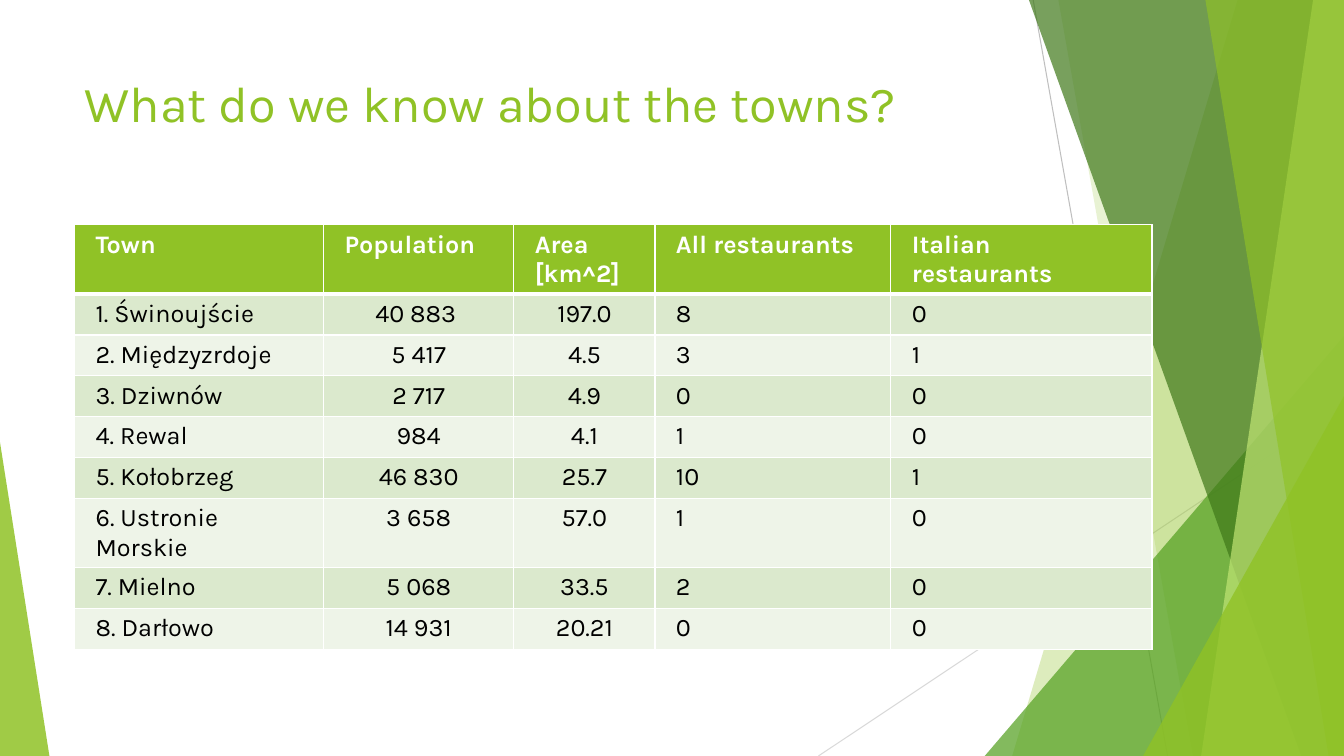
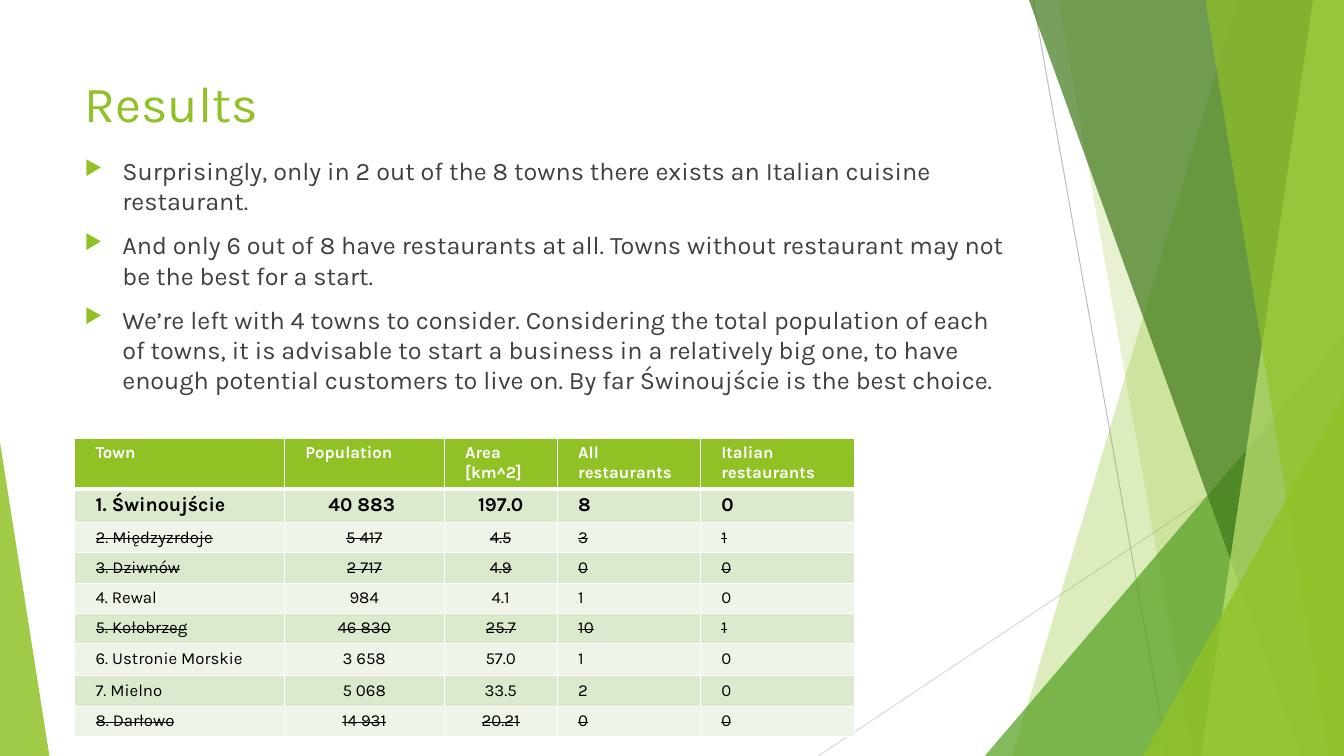
import pptx
import pptx.dml.color
import pptx.enum.shapes
import pptx.enum.text
import pptx.oxml
import pptx.oxml.ns
import pptx.util
from lxml import etree

Pt = pptx.util.Pt
RGBColor = pptx.dml.color.RGBColor
qn = pptx.oxml.ns.qn
ALIGN = pptx.enum.text.PP_ALIGN
ANCHOR = pptx.enum.text.MSO_ANCHOR
TRIANGLE = pptx.enum.shapes.MSO_SHAPE.ISOSCELES_TRIANGLE
STRAIGHT = pptx.enum.shapes.MSO_CONNECTOR.STRAIGHT

LIME = RGBColor(0x90, 0xC2, 0x26)
GREEN = RGBColor(0x54, 0xA0, 0x21)
FOREST = RGBColor(0x3F, 0x78, 0x19)
PALE_LIME = RGBColor(0xC0, 0xE4, 0x74)
ROW_DARK = RGBColor(0xDB, 0xE9, 0xCD)
ROW_LIGHT = RGBColor(0xEE, 0xF4, 0xE8)
GREY = RGBColor(0xBF, 0xBF, 0xBF)
LIGHT_GREY = RGBColor(0xD9, 0xD9, 0xD9)
TEXT_GREY = RGBColor(0x40, 0x40, 0x40)
BLACK = RGBColor(0x00, 0x00, 0x00)
WHITE = RGBColor(0xFF, 0xFF, 0xFF)

FONT = "Karla"
WIDTH, HEIGHT = 960, 540
SLIDE_BOX = (0, 0, WIDTH, HEIGHT)
TITLE_BOX = (53.3, 48, 677, 104)
BODY_BOX = (53.3, 107.3, 677, 305)

RAYS = [
    ((738, 0), (834, HEIGHT), GREY),
    ((WIDTH, 290), (584.6, HEIGHT), LIGHT_GREY),
]
FACETS = [
    ("band", 884, 723, LIME, 30),
    ("band", 756, 852, LIME, 20),
    ("triangle", (703.4, 240, 256.6, 300), 1, GREEN, 72),
    ("band", 735, 929.5, FOREST, 70),
    ("band", 938, 858, PALE_LIME, 70),
    ("band", 861, 949, LIME, 65),
    ("triangle", (816.5, 283, 143.5, 257), 1, LIME, 80),
    ("triangle", (0, 316, 35.3, 224), 0, LIME, 85),
]

HEADER = ["Town", "Population", "Area\n[km^2]", "All restaurants", "Italian restaurants"]
TOWNS = [
    ["1. Świnoujście", "40 883 ", "197.0", "8", "0"],
    ["2. Międzyzrdoje", "5 417", "4.5", "3", "1"],
    ["3. Dziwnów", "2 717", "4.9", "0", "0"],
    ["4. Rewal", "984", "4.1", "1", "0"],
    ["5. Kołobrzeg", "46 830", "25.7", "10", "1"],
    ["6. Ustronie Morskie", "3 658", "57.0", "1", "0"],
    ["7. Mielno", "5 068", "33.5", "2", "0"],
    ["8. Darłowo", "14 931", "20.21", "0", "0"],
]
CENTRED_COLUMNS = (1, 2)
FINDINGS = [
    "Surprisingly, only in 2 out of the 8 towns there exists an Italian cuisine restaurant.",
    "And only 6 out of 8 have restaurants at all. Towns without restaurant may not be "
    "the best for a start.",
    "We’re left with 4 towns to consider. Considering the total population of each of towns, "
    "it is advisable to start a business in a relatively big one, to have enough potential "
    "customers to live on. By far Świnoujście is the best choice.",
]


def apply_format(target, values):
    for name, value in values.items():
        setattr(target, name, value)


def format_font(font, size, colour, bold=False):
    apply_format(font, {"name": FONT, "size": Pt(size), "bold": bold})
    font.color.rgb = colour


def in_points(values):
    return [Pt(value) for value in values]


def paint_facet(shape, colour, opacity):
    shape.shadow.inherit = False
    shape.line.fill.background()
    shape.fill.solid()
    shape.fill.fore_color.rgb = colour
    tint = shape.element.spPr.find(qn("a:solidFill"))[0]
    etree.SubElement(tint, qn("a:alpha")).set("val", str(opacity * 1000))


def add_ray(shapes, box, start, end, colour):
    left, top = box[:2]
    ends = (left + start[0], top + start[1], left + end[0], top + end[1])
    ray = shapes.add_connector(STRAIGHT, *in_points(ends))
    ray.line.width = Pt(0.75)
    ray.line.color.rgb = colour
    etree.SubElement(ray.element.spPr, qn("a:effectLst"))


def add_band(shapes, box, top_x, bottom_x):
    left, top, width, height = box
    corners = [(width, 0), (width, height), (bottom_x, height)]
    outline = shapes.build_freeform(Pt(left + top_x), Pt(top))
    outline.add_line_segments([(Pt(left + x), Pt(top + y)) for x, y in corners], close=True)
    return outline.convert_to_shape()


def add_triangle(shapes, box, place, apex):
    left, top, width, height = place
    place = (box[0] + left, box[1] + top, width, height)
    triangle = shapes.add_shape(TRIANGLE, *in_points(place))
    triangle.adjustments[0] = apex
    return triangle


def add_backdrop(shapes, box):
    builders = {"band": add_band, "triangle": add_triangle}
    for start, end, colour in RAYS:
        add_ray(shapes, box, start, end, colour)
    for kind, first, second, colour, opacity in FACETS:
        paint_facet(builders[kind](shapes, box, first, second), colour, opacity)


def move_backdrop_to_layout(page, layout):
    for holder in list(layout.placeholders):
        if holder.placeholder_format.idx != 0:
            holder.element.getparent().remove(holder.element)
    add_backdrop(page.shapes, SLIDE_BOX)
    for shape in list(page.shapes):
        if not shape.is_placeholder:
            layout.shapes.element.append(shape.element)


def set_title(page, box, text):
    title = page.shapes.title
    apply_format(title, dict(zip(("left", "top", "width", "height"), in_points(box))))
    frame = title.text_frame
    apply_format(frame, {
        "text": text,
        "word_wrap": True,
        "vertical_anchor": ANCHOR.TOP,
        "auto_size": pptx.enum.text.MSO_AUTO_SIZE.NONE,
    })
    para = frame.paragraphs[0]
    para.alignment = ALIGN.LEFT
    format_font(para.runs[0].font, 36, LIME)


def add_bullet(para):
    properties = para._p.get_or_add_pPr()
    indent = Pt(27)
    properties.set("marL", str(indent))
    properties.set("indent", str(-indent))
    colour = etree.SubElement(properties, qn("a:buClr"))
    etree.SubElement(colour, qn("a:srgbClr")).set("val", str(LIME))
    etree.SubElement(properties, qn("a:buSzPct")).set("val", "80000")
    etree.SubElement(properties, qn("a:buChar")).set("char", "▶")


def add_bullet_list(page, box, texts):
    frame = page.shapes.add_textbox(*in_points(box)).text_frame
    frame.word_wrap = True
    frame.text = "\n".join(texts)
    for para in frame.paragraphs:
        para.space_before = Pt(10)
        add_bullet(para)
        format_font(para.runs[0].font, 18, TEXT_GREY)


def set_borders(cell, widths):
    properties = cell._tc.get_or_add_tcPr()
    for side, width in zip("LRTB", widths):
        line = etree.SubElement(properties, qn("a:ln" + side))
        line.set("w", str(Pt(width)))
        fill = etree.SubElement(line, qn("a:solidFill"))
        etree.SubElement(fill, qn("a:srgbClr")).set("val", str(WHITE))


def fill_cell(cell, text, alignment, fill, style, struck):
    cell.text = text
    apply_format(cell, {
        "margin_left": Pt(15), "margin_right": Pt(15),
        "margin_top": Pt(3.6), "margin_bottom": Pt(3.6),
        "vertical_anchor": ANCHOR.TOP,
    })
    cell.fill.solid()
    cell.fill.fore_color.rgb = fill
    for para in cell.text_frame.paragraphs:
        para.alignment = alignment
        for span in para.runs:
            format_font(span.font, *style)
            if struck:
                span._r.get_or_add_rPr().set("strike", "sngStrike")


def add_town_table(page, left, top, widths, heights, size, best_size=None):
    box = (left, top, sum(widths), sum(heights))
    table = page.shapes.add_table(len(heights), len(widths), *in_points(box)).table
    for column, width in zip(table.columns, widths):
        column.width = Pt(width)
    for row, height in zip(table.rows, heights):
        row.height = Pt(height)
    for row_index, texts in enumerate([HEADER] + TOWNS):
        is_header = row_index == 0
        is_best = best_size is not None and row_index == 1
        has_rival_or_none = not is_header and (texts[3] == "0" or texts[4] != "0")
        struck = best_size is not None and has_rival_or_none
        fill = LIME if is_header else (ROW_LIGHT, ROW_DARK)[row_index % 2]
        style = (best_size if is_best else size, WHITE if is_header else BLACK,
                 is_header or is_best)
        borders = (1, 1, 3 if row_index == 1 else 1, 3 if is_header else 1)
        for column_index, text in enumerate(texts):
            centred = not is_header and column_index in CENTRED_COLUMNS
            cell = table.cell(row_index, column_index)
            set_borders(cell, borders)
            fill_cell(cell, text, ALIGN.CENTER if centred else ALIGN.LEFT, fill, style, struck)


def build_towns_page(page):
    set_title(page, TITLE_BOX, "What do we know about the towns?")
    heights = [49.3] + [29.2] * 5 + [49.3] + [29.2] * 2
    add_town_table(page, 53.3, 160.6, [177.8, 136, 100.8, 168.5, 186.5], heights, 18)


def build_results_page(page):
    set_title(page, TITLE_BOX, "Results")
    add_bullet_list(page, BODY_BOX, FINDINGS)
    heights = [35, 23] + [21.2] * 4 + [23] + [21.2] * 2
    add_town_table(page, 53.3, 313.2, [149.8, 114.2, 80.8, 102.2, 110], heights, 12, 14)


def main():
    deck = pptx.Presentation()
    apply_format(deck, {"slide_width": Pt(WIDTH), "slide_height": Pt(HEIGHT)})
    layout = deck.slide_layouts[5]
    pages = [deck.slides.add_slide(layout) for _ in range(2)]
    move_backdrop_to_layout(pages[0], layout)
    build_towns_page(pages[0])
    build_results_page(pages[1])
    deck.save("out.pptx")


if __name__ == "__main__":
    main()
